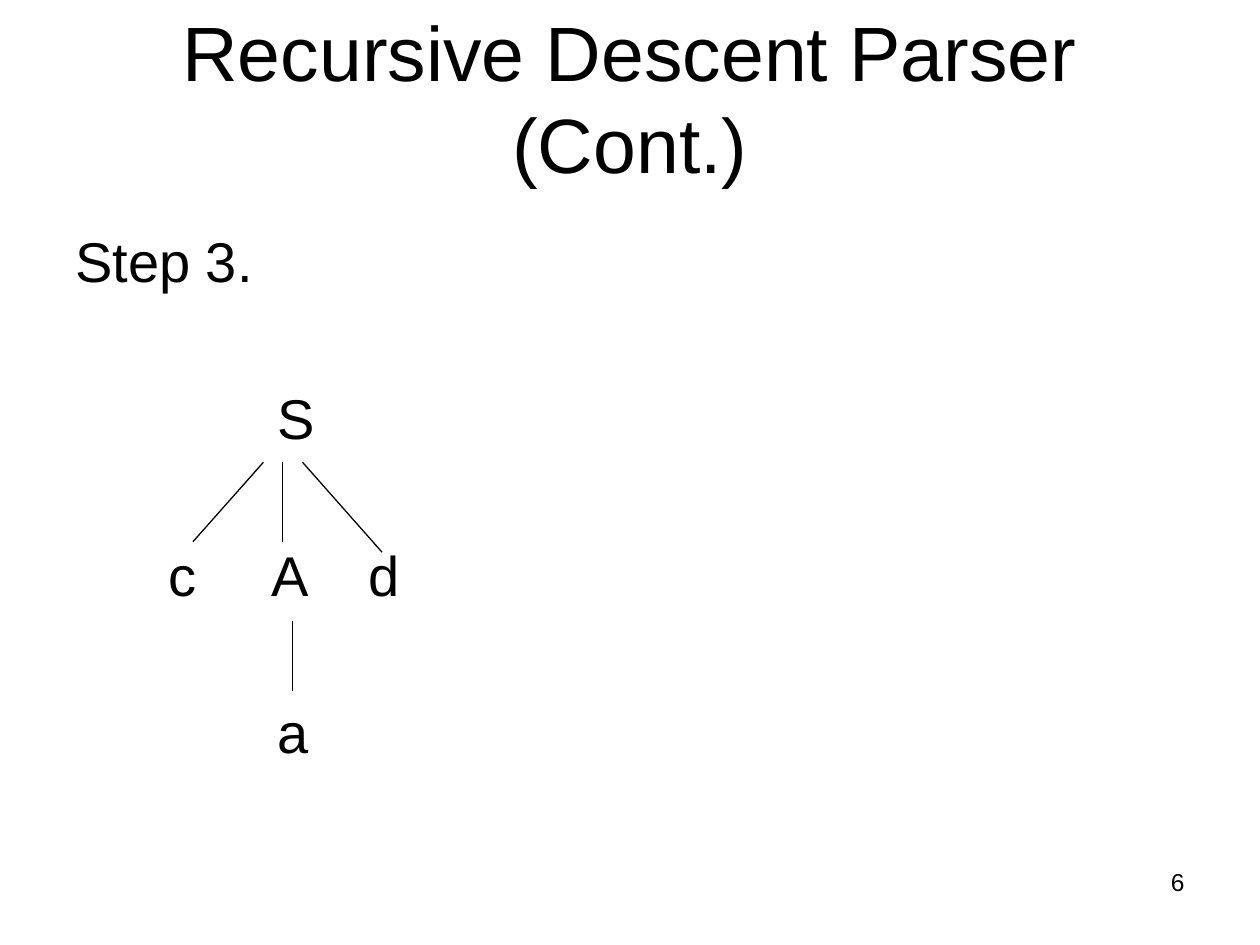
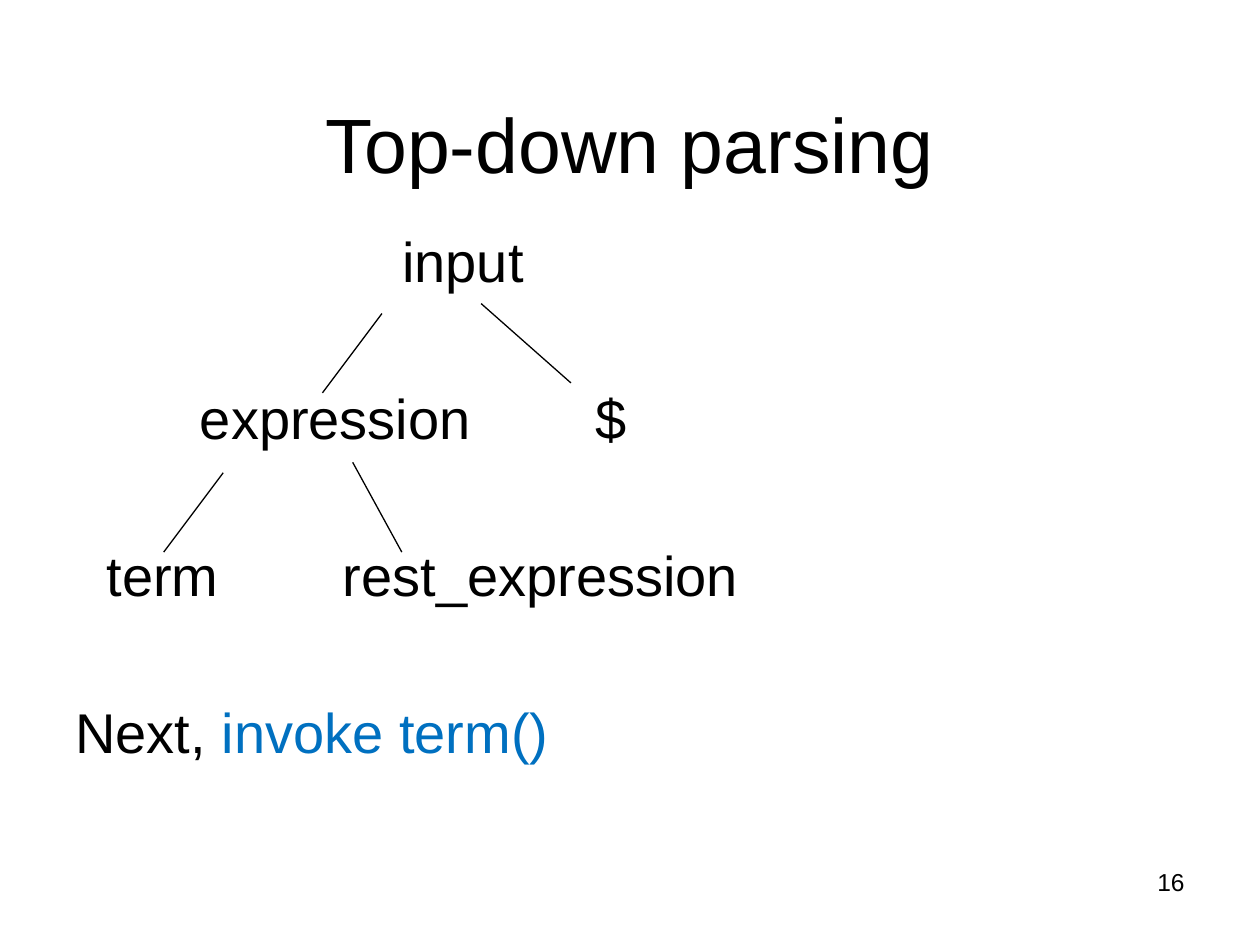
"""Build two slides that show parse trees growing top-down."""
from dataclasses import dataclass

from lxml.etree import SubElement
from pptx import Presentation
from pptx.dml.color import RGBColor
from pptx.enum.shapes import MSO_CONNECTOR as Connector
from pptx.enum.text import MSO_ANCHOR as Anchor, PP_ALIGN as Align
from pptx.oxml.ns import qn
from pptx.slide import Slide
from pptx.text.text import TextFrame
from pptx.util import Cm, Pt

BLACK = RGBColor(0x00, 0x00, 0x00)
BLUE = RGBColor(0x00, 0x70, 0xC0)
FONT = "Arial"
TITLE_SIZE, BODY_SIZE, NUMBER_SIZE = 44, 32, 14
FIRST_GAP, LEVEL_GAP = Pt(6.4), Pt(51.3)


@dataclass(frozen=True)
class Box:
    """Position and size in centimetres."""
    left: float
    top: float
    width: float
    height: float


@dataclass(frozen=True)
class Word:
    """Piece of a row; a tab in centimetres places it, none continues the text."""
    text: str
    tab: float | None = None
    color: RGBColor = BLACK


@dataclass(frozen=True)
class Branch:
    """Tree edge from parent to child in centimetres."""
    x1: float
    y1: float
    x2: float
    y2: float


@dataclass(frozen=True)
class TreeSlide:
    """Content of one slide."""
    number: int
    title: str
    rows: tuple[tuple[Word, ...], ...]
    branches: tuple[Branch, ...]


TITLE_BOX = Box(1.27, 0.76, 22.86, 3.18)
BODY_BOX = Box(1.27, 4.45, 22.86, 12.57)
NUMBER_BOX = Box(18.21, 17.35, 5.92, 1.32)

TREE_SLIDES = (
    TreeSlide(
        6,
        "Recursive Descent Parser (Cont.)",
        (
            (Word("Step 3."),),
            (Word("S", 4.08),),
            (Word("c", 1.88), Word("A", 3.96), Word("d", 5.9)),
            (Word("a", 4.08),),
        ),
        (
            Branch(5.31, 9.32, 3.89, 10.92),
            Branch(5.7, 9.32, 5.7, 10.92),
            Branch(6.1, 9.32, 7.7, 11.13),
            Branch(5.9, 12.52, 5.9, 13.92),
        ),
    ),
    TreeSlide(
        16,
        "Top-down parsing",
        (
            (Word("input", 6.59),),
            (Word("expression", 2.51), Word("$", 10.48)),
            (Word("term", 0.63), Word("rest_expression", 5.39)),
            (Word("Next, "), Word("invoke term()", color=BLUE)),
        ),
        (
            Branch(7.7, 6.32, 6.5, 7.92),
            Branch(9.7, 6.12, 11.51, 7.72),
            Branch(4.5, 9.53, 3.3, 11.13),
            Branch(7.11, 9.32, 8.1, 11.13),
        ),
    ),
)


def add_text_frame(slide: Slide, box: Box, anchor: Anchor = Anchor.TOP) -> TextFrame:
    """Add a wrapping text box and return its frame."""
    shape = slide.shapes.add_textbox(
        Cm(box.left), Cm(box.top), Cm(box.width), Cm(box.height)
    )
    frame = shape.text_frame
    frame.word_wrap = True
    frame.vertical_anchor = anchor
    return frame


def add_run(paragraph, text: str, size: int, color: RGBColor = BLACK) -> None:
    """Append one formatted run."""
    run = paragraph.add_run()
    run.text = text
    run.font.name = FONT
    run.font.size = Pt(size)
    run.font.color.rgb = color


def add_line(
    slide: Slide, box: Box, text: str, size: int, align: Align, anchor: Anchor = Anchor.TOP
) -> None:
    """Add a text box with a single aligned paragraph."""
    paragraph = add_text_frame(slide, box, anchor).paragraphs[0]
    paragraph.alignment = align
    add_run(paragraph, text, size)


def add_tab_stops(paragraph, positions: list[float]) -> None:
    """Set left tab stops at the given centimetres."""
    tab_list = SubElement(paragraph._p.get_or_add_pPr(), qn("a:tabLst"))
    for position in positions:
        SubElement(tab_list, qn("a:tab"), pos=str(Cm(position)), algn="l")


def add_rows(slide: Slide, rows: tuple[tuple[Word, ...], ...]) -> None:
    """Write the tree levels and remarks as rows of the body text."""
    frame = add_text_frame(slide, BODY_BOX)
    for index, row in enumerate(rows):
        paragraph = frame.add_paragraph() if index else frame.paragraphs[0]
        paragraph.space_before = LEVEL_GAP if index else FIRST_GAP
        tabs = [word.tab for word in row if word.tab is not None]
        if tabs:
            add_tab_stops(paragraph, tabs)
        for word in row:
            lead = "" if word.tab is None else "\t"
            add_run(paragraph, lead + word.text, BODY_SIZE, word.color)


def add_branch(slide: Slide, branch: Branch) -> None:
    """Draw one thin tree edge without a shadow."""
    connector = slide.shapes.add_connector(
        Connector.STRAIGHT,
        Cm(branch.x1), Cm(branch.y1), Cm(branch.x2), Cm(branch.y2),
    )
    connector.line.color.rgb = BLACK
    connector.line.width = Pt(0.75)
    SubElement(connector._element.spPr, qn("a:effectLst"))


def main() -> None:
    """Build and save the presentation."""
    presentation = Presentation()
    presentation.slide_width, presentation.slide_height = Cm(25.4), Cm(19.05)
    blank_layout = presentation.slide_layouts[6]
    for content in TREE_SLIDES:
        slide = presentation.slides.add_slide(blank_layout)
        add_line(slide, NUMBER_BOX, str(content.number), NUMBER_SIZE, Align.RIGHT)
        add_line(slide, TITLE_BOX, content.title, TITLE_SIZE, Align.CENTER, Anchor.BOTTOM)
        add_rows(slide, content.rows)
        for branch in content.branches:
            add_branch(slide, branch)
    presentation.save("out.pptx")


if __name__ == "__main__":
    main()
